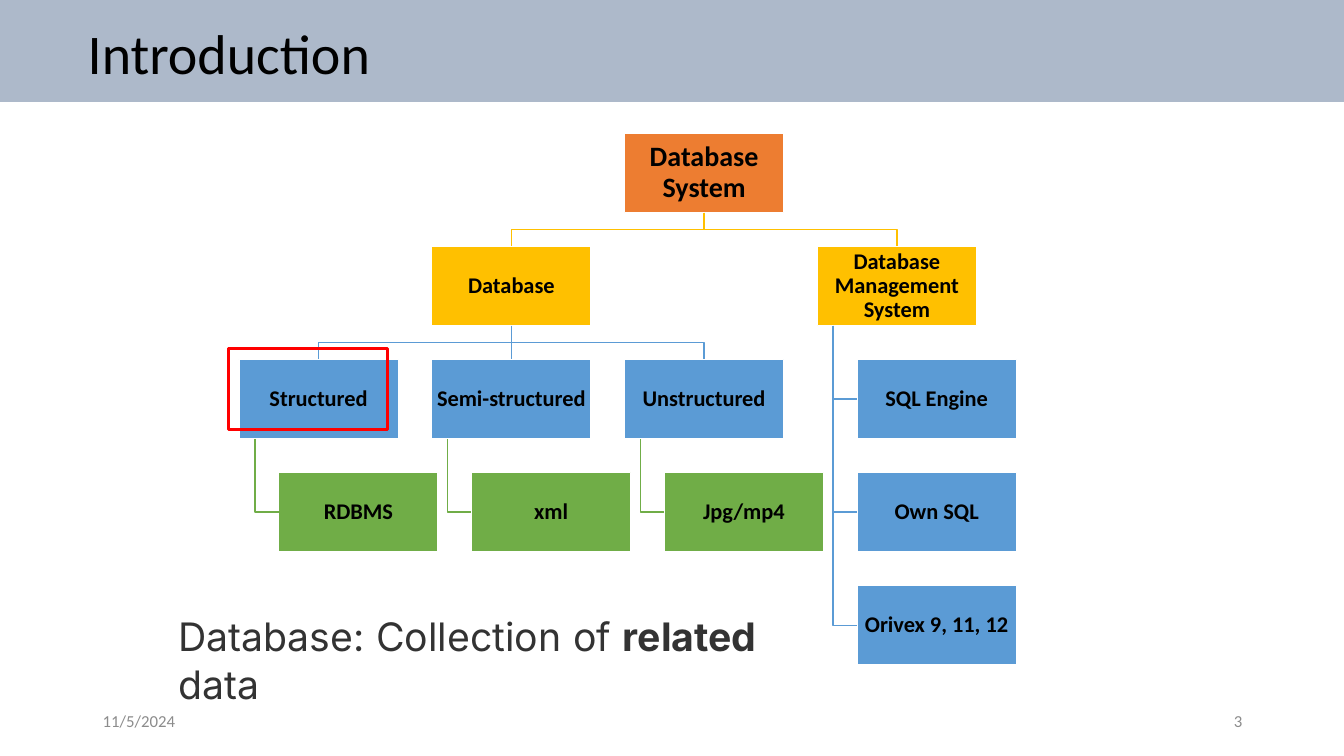
"""Build the Introduction slide: a tree of database system concepts."""
from dataclasses import dataclass

from lxml import etree
from pptx import Presentation
from pptx.dml.color import RGBColor
from pptx.enum.shapes import MSO_CONNECTOR, MSO_SHAPE
from pptx.enum.text import MSO_ANCHOR, MSO_AUTO_SIZE, PP_ALIGN
from pptx.oxml.ns import qn
from pptx.util import Inches, Pt

RECT, STRAIGHT = MSO_SHAPE.RECTANGLE, MSO_CONNECTOR.STRAIGHT
LEFT, CENTER, RIGHT, JUSTIFY = PP_ALIGN.LEFT, PP_ALIGN.CENTER, PP_ALIGN.RIGHT, PP_ALIGN.JUSTIFY
TOP, MIDDLE = MSO_ANCHOR.TOP, MSO_ANCHOR.MIDDLE
NO_AUTOFIT = MSO_AUTO_SIZE.NONE


@dataclass(frozen=True)
class Theme:
    banner: str = "ADB9CA"
    root: str = "ED7D31"
    branch: str = "FFC000"
    kind: str = "5B9BD5"
    example: str = "70AD47"
    mark: str = "FF0000"
    white: str = "FFFFFF"
    ink: str = "000000"
    body_ink: str = "333333"
    footer_ink: str = "8C8C8C"
    font: str = "Calibri"
    body_font: str = "Inter"
    title_size: int = 40
    body_size: int = 28
    root_size: int = 20
    node_size: int = 16
    footer_size: int = 12


T = Theme()
rgb = RGBColor.from_string


def style(tf, size, color, align, anchor, font=T.font, bold=False):
    tf.word_wrap, tf.auto_size, tf.vertical_anchor = True, NO_AUTOFIT, anchor
    for p in tf.paragraphs:
        p.alignment = align
        for r in p.runs:
            r.font.name, r.font.size, r.font.bold = font, Pt(size), bold
            r.font.color.rgb = rgb(color)


prs = Presentation()
prs.slide_width, prs.slide_height = Inches(13.33), Inches(7.5)
s = prs.slides.add_slide(prs.slide_layouts[5])

title = s.shapes.title
title.left, title.top, title.width, title.height = 0, 0, prs.slide_width, Inches(1.01)
title.fill.solid()
title.fill.fore_color.rgb = rgb(T.banner)
tf = title.text_frame
tf.text = "Introduction"
tf.margin_left, tf.margin_top = Inches(0.87), Inches(0.18)
style(tf, T.title_size, T.ink, JUSTIFY, TOP)

for text, left, align in (("11/5/2024", 0.92, LEFT), ("3", 9.42, RIGHT)):
    tf = s.shapes.add_textbox(Inches(left), Inches(6.95), Inches(3), Inches(0.4)).text_frame
    tf.text = text
    style(tf, T.footer_size, T.footer_ink, align, MIDDLE)

LEFT0, TOP0 = Inches(2.37), Inches(1.32)
W, H = Inches(1.58), Inches(0.79)
COL, ROW = 1.21 * W, 1.42 * H
INDENT, STEM = W / 4, W / 10

# text, column, row, colour, parent, hangs from the parent's left edge
NODES = (
    ("Database System", 2, 0, T.root, None, False),
    ("Database", 1, 1, T.branch, "Database System", False),
    ("Database Management System", 3, 1, T.branch, "Database System", False),
    ("Structured", 0, 2, T.kind, "Database", False),
    ("Semi-structured", 1, 2, T.kind, "Database", False),
    ("Unstructured", 2, 2, T.kind, "Database", False),
    ("RDBMS", 0, 3, T.example, "Structured", True),
    ("xml", 1, 3, T.example, "Semi-structured", True),
    ("Jpg/mp4", 2, 3, T.example, "Unstructured", True),
    ("SQL Engine", 3, 2, T.kind, "Database Management System", True),
    ("Own SQL", 3, 3, T.kind, "Database Management System", True),
    ("Orivex 9, 11, 12", 3, 4, T.kind, "Database Management System", True),
)

boxes = {}
for text, col, row, color, parent, hangs in NODES:
    left, top = LEFT0 + col * COL + hangs * INDENT, TOP0 + row * ROW
    sp = boxes[text] = s.shapes.add_shape(RECT, round(left), round(top), W, H)
    sp.shadow.inherit = False
    sp.fill.solid()
    sp.fill.fore_color.rgb = rgb(color)
    sp.line.color.rgb, sp.line.width = rgb(T.white), Pt(1)
    tf = sp.text_frame
    tf.text = text
    tf.margin_left = tf.margin_top = tf.margin_right = tf.margin_bottom = Inches(0.01)
    tf.paragraphs[0].line_spacing = 0.9
    style(tf, T.node_size if parent else T.root_size, T.ink, CENTER, MIDDLE, bold=True)

    if parent is None:
        continue
    up = boxes[parent]
    bottom, start, end = up.top + H, up.left + W / 2, left + W / 2
    if not hangs and sp.left == up.left:
        link = s.shapes.add_connector(STRAIGHT, 0, 0, 0, 0)
        link.begin_connect(up, 2)
        link.end_connect(sp, 0)
        etree.SubElement(link.element.spPr, qn("a:effectLst"))
    else:
        if hangs:
            start = up.left + STEM
            bends = [(start, top + H / 2), (left, top + H / 2)]
        else:
            middle = (bottom + top) / 2
            bends = [(start, middle), (end, middle), (end, top)]
        path_builder = s.shapes.build_freeform(start, bottom)
        path_builder.add_line_segments(bends, close=False)
        link = path_builder.convert_to_shape()
        link.shadow.inherit = False
        link.fill.background()
    link.line.color.rgb, link.line.width = rgb(color), Pt(1)

tf = s.shapes.add_textbox(Inches(1.67), Inches(6.03), Inches(5.93), Inches(0.57)).text_frame
p = tf.paragraphs[0]
for text in ("Database: Collection of ", "related", " data"):
    p.add_run().text = text
style(tf, T.body_size, T.body_ink, JUSTIFY, TOP, T.body_font)
p.runs[1].font.bold = True

mark = s.shapes.add_shape(RECT, Inches(2.27), Inches(3.46), Inches(1.57), Inches(0.8))
mark.shadow.inherit = False
mark.fill.background()
mark.line.color.rgb, mark.line.width = rgb(T.mark), Pt(2.25)

prs.save("out.pptx")
